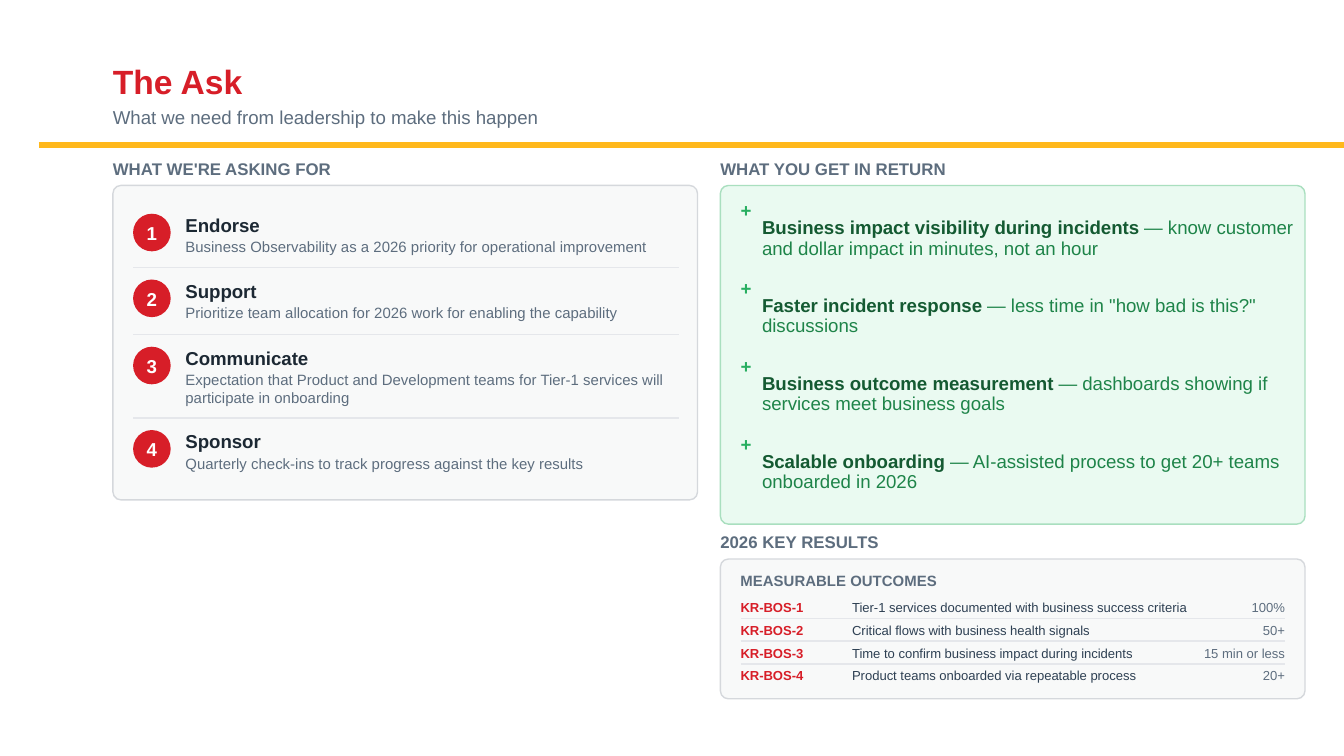
from pptx import Presentation
from pptx import util as u
from pptx.dml.color import RGBColor
from pptx.enum import shapes, text
from pptx.oxml.ns import qn

PX = 9144  # EMU in one px, 100 px to the inch

COLORS = {
    "red": "D71E28", "gold": "FFB81C", "white": "FFFFFF",
    "slate": "5D6D7E", "ink": "1C2833", "navy": "2E4053",
    "card": "F8F9F9", "card edge": "D5D8DC", "rule": "E5E7EB",
    "mint": "EAFAF1", "mint edge": "A9DFBF",
    "plus": "27AE60", "forest": "145A32", "green": "1E8449",
}


def px(*lengths):
    return [length * PX for length in lengths]


def color(name):
    return RGBColor.from_string(COLORS[name])


class Painter:
    """Holds the style and the page being drawn."""
    font = "Arial"
    hairline = 0.75

    def __init__(self, page):
        self.page = page

    def line(self, left, right, y, name, width=hairline):
        line = self.page.shapes.add_connector(
            shapes.MSO_CONNECTOR.STRAIGHT, *px(left, y, right, y))
        line.line.color.rgb = color(name)
        line.line.width = u.Pt(width)
        line._element.spPr.append(
            line._element.makeelement(qn("a:effectLst"), {}))

    def card(self, left, top, width, height, fill, edge=None, radius=6):
        card = self.page.shapes.add_shape(
            shapes.MSO_SHAPE.ROUNDED_RECTANGLE, *px(left, top, width, height))
        card.adjustments[0] = radius / min(width, height)
        card.shadow.inherit = False
        card.fill.solid()
        card.fill.fore_color.rgb = color(fill)
        if edge:
            card.line.color.rgb = color(edge)
            card.line.width = u.Pt(self.hairline)
        else:
            card.line.fill.background()

    def text(self, left, top, width, height, spans, size, bold=False,
             align=None, leading=None, before=None, after=None):
        """Spans are (words, color) pairs, or (words, color, bold)."""
        box = self.page.shapes.add_textbox(*px(left, top, width, height))
        frame = box.text_frame
        frame.word_wrap = True
        frame.margin_left = frame.margin_right = 0
        frame.margin_top = frame.margin_bottom = 0
        para = frame.paragraphs[0]
        para.font.name = self.font
        para.font.size = u.Pt(size)
        para.font.bold = bold
        if align:
            para.alignment = align
        if leading:
            para.line_spacing = u.Pt(leading)
        if before:
            para.space_before = u.Pt(before)
        if after:
            para.space_after = u.Pt(after)
        for words, name, *weight in spans:
            span = para.add_run()
            span.text = words
            span.font.color.rgb = color(name)
            if weight:
                span.font.bold = weight[0]

    def heading(self, left, top, words):
        self.text(left, top, 444, 15, [(words, "slate")], 9, bold=True)


LEFT, RIGHT = 84, 536  # left edges of the two columns
CARD_WIDTH = 435
PAD = 15

ASKS = [  # top, title, detail, detail height
    (159, "Endorse",
     "Business Observability as a 2026 priority for operational improvement", 13),
    (208, "Support",
     "Prioritize team allocation for 2026 work for enabling the capability", 13),
    (258, "Communicate",
     "Expectation that Product and Development teams for Tier-1 services will "
     "participate in onboarding", 27),
    (320, "Sponsor",
     "Quarterly check-ins to track progress against the key results", 13),
]
BENEFITS = [
    ("Business impact visibility during incidents",
     " — know customer and dollar impact in minutes, not an hour"),
    ("Faster incident response",
     " — less time in \"how bad is this?\" discussions"),
    ("Business outcome measurement",
     " — dashboards showing if services meet business goals"),
    ("Scalable onboarding",
     " — AI-assisted process to get 20+ teams onboarded in 2026"),
]
KEY_RESULTS = [
    ("Tier-1 services documented with business success criteria", "100%"),
    ("Critical flows with business health signals", "50+"),
    ("Time to confirm business impact during incidents", "15 min or less"),
    ("Product teams onboarded via repeatable process", "20+"),
]


def draw_header(painter):
    painter.line(29, 1000, 108, "gold", 3)
    painter.text(LEFT, 45, 905, 29, [("The Ask", "red")], 18, bold=True)
    painter.text(LEFT, 79, 905, 16,
                 [("What we need from leadership to make this happen", "slate")],
                 10, before=3)


def draw_asks(painter):
    painter.heading(LEFT, 118, "WHAT WE'RE ASKING FOR")
    painter.card(LEFT, 138, CARD_WIDTH, 234, "card", "card edge")
    left = LEFT + PAD
    for number, (top, title, detail, height) in enumerate(ASKS, 1):
        if number > 1:
            painter.line(left, left + 406, top - 9, "rule")
        painter.card(left, top, 28, 28, "red", radius=14)
        painter.text(left + 10, top + 6, 8, 16, [(str(number), "white")],
                     10, bold=True)
        painter.text(left + 39, top, 374, 16, [(title, "ink")], 10,
                     bold=True, after=2)
        painter.text(left + 39, top + 18, 374, height, [(detail, "slate")], 8,
                     leading=9.6)


def draw_benefits(painter):
    painter.heading(RIGHT, 118, "WHAT YOU GET IN RETURN")
    painter.card(RIGHT, 138, CARD_WIDTH, 252, "mint", "mint edge")
    left = RIGHT + PAD
    for row, (gain, detail) in enumerate(BENEFITS):
        top = 148 + 58 * row
        painter.text(left, top, 8, 16, [("+", "plus")], 10, bold=True)
        painter.text(left + 16, top + 14, 397, 31,
                     [(gain, "forest", True), (detail, "green")], 10,
                     leading=11, before=10, after=10)


def draw_key_results(painter):
    painter.heading(RIGHT, 396, "2026 KEY RESULTS")
    painter.card(RIGHT, 416, CARD_WIDTH, 104, "card", "card edge")
    left = RIGHT + PAD
    painter.text(left, 425, 413, 12, [("MEASURABLE OUTCOMES", "slate")], 8,
                 bold=True, after=4)
    for row, (outcome, target) in enumerate(KEY_RESULTS):
        top = 446 + 17 * row
        if row < len(KEY_RESULTS) - 1:
            painter.line(left, left + 405, top + 14, "rule")
        painter.text(left, top, 85, 10, [(f"KR-BOS-{row + 1}", "red")], 7,
                     bold=True)
        painter.text(left + 83, top, 258, 10, [(outcome, "navy")], 7)
        painter.text(left + 334, top, 71, 10, [(target, "slate")], 7,
                     align=text.PP_ALIGN.RIGHT)


def main():
    deck = Presentation()
    deck.slide_width = u.Inches(10)
    deck.slide_height = u.Inches(5.625)
    painter = Painter(deck.slides.add_slide(deck.slide_layouts[6]))
    draw_header(painter)
    draw_asks(painter)
    draw_benefits(painter)
    draw_key_results(painter)
    deck.save("out.pptx")


if __name__ == "__main__":
    main()
